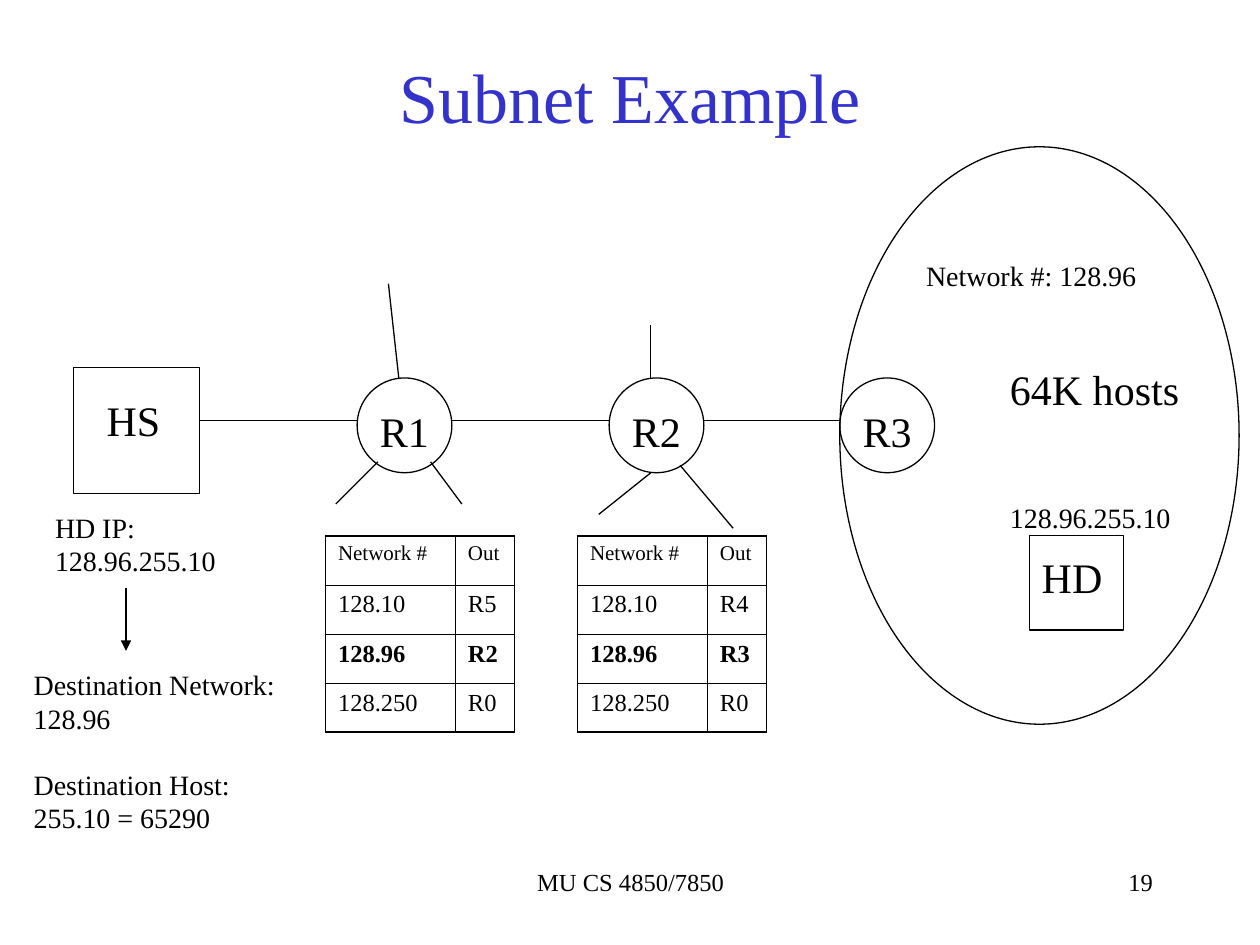
import pptx
import pptx.util
import pptx.dml.color
import pptx.enum.shapes
import pptx.enum.text
import pptx.oxml
import pptx.oxml.ns
from pptx.util import Cm, Pt

COLORS = {"ink": "000000", "title": "3333CC", "paper": "FFFFFF"}
FONT = "Times New Roman"
ALIGN = pptx.enum.text.PP_ALIGN
SHAPE = pptx.enum.shapes.MSO_SHAPE

TITLE = ("Subnet Example", 1.9, 0.68, 21.6, 2.51)
# text, left, top, width, height, alignment
FOOTERS = [
    ("MU CS 4850/7850", 8.69, 17.35, 8.05, 1.27, ALIGN.CENTER),
    ("19", 18.21, 17.35, 5.28, 1.27, ALIGN.RIGHT),
]
# paragraphs, left, top, width, height, size
LABELS = [
    (["HS"], 1.9, 7.82, 1.8, 1.27, 24),
    (["HD"], 20.75, 11, 1.9, 1.27, 24),
    (["HD IP:", "128.96.255.10"], 0.86, 10.16, 4, 1.63, 16),
    (["Network #: 128.96"], 18.42, 5.08, 5, 0.94, 16),
    (["128.96.255.10"], 20.11, 9.96, 4, 0.94, 16),
]
DESTINATION = (["Destination Network:", "128.96",
                "Destination Host:", "255.10 = 65290"],
               0.43, 13.34, 5.6, 3.66, 16)
HOSTS = (["64K hosts"], 20.11, 7.2, 4, 1.27, 24)

# left, top, width, height
HOST_HS = (1.48, 7.41, 2.54, 2.54)
HOST_HD = (20.75, 10.8, 1.9, 1.9)
NETWORK = (16.93, 2.96, 8.05, 11.64)
ROUTERS = {"R1": 7.2, "R2": 12.28, "R3": 16.93}
ROUTER_TOP, ROUTER_SIZE = 7.62, 1.91
WIRE_Y = 8.47
# x and y of both ends
SPOKES = [
    (7.83, 5.72, 8.04, 7.62),
    (7.62, 9.31, 6.77, 10.16),
    (8.68, 9.31, 9.31, 10.16),
    (13.12, 6.56, 13.12, 7.62),
    (13.12, 9.53, 12.07, 10.37),
    (13.71, 9.38, 14.78, 10.65),
]
ARROW = (2.54, 11.86, 2.54, 13.12)

NETWORKS = ["128.10", "128.96", "128.250"]
HEADER = ("Network #", "Out")
BOLD_ROW = 2
# left edge, outgoing router for each network
ROUTES = [(6.56, ["R5", "R2", "R0"]), (11.64, ["R4", "R3", "R0"])]
TABLE_TOP, COLUMN_WIDTHS, ROW_HEIGHT = 10.8, (2.62, 1.19), 0.99
OUTER, INNER = 1.08, 0.45


def rgb(name):
    return pptx.dml.color.RGBColor.from_string(COLORS[name])


def add_run(p, text, size, color="ink", bold=False):
    r = p.add_run()
    r.text = text
    r.font.name, r.font.size, r.font.bold = FONT, Pt(size), bold
    r.font.color.rgb = rgb(color)


def write_label(sp, lines, size):
    """Fill a non-wrapping box of fixed size with one paragraph per line."""
    tf = sp.text_frame
    tf.word_wrap = False
    tf.auto_size = pptx.enum.text.MSO_AUTO_SIZE.SHAPE_TO_FIT_TEXT
    tf.vertical_anchor = pptx.enum.text.MSO_ANCHOR.TOP
    for i, line in enumerate(lines):
        p = tf.paragraphs[0] if i == 0 else tf.add_paragraph()
        p.alignment = ALIGN.LEFT
        add_run(p, line, size)
    return tf


def add_label(s, lines, left, top, width, height, size):
    sp = s.shapes.add_textbox(Cm(left), Cm(top), Cm(width), Cm(height))
    return write_label(sp, lines, size)


def add_outline(s, kind, left, top, width, height, line="ink"):
    sp = s.shapes.add_shape(kind, Cm(left), Cm(top), Cm(width), Cm(height))
    sp.shadow.inherit = False
    sp.fill.background()
    sp.line.color.rgb = rgb(line)
    sp.line.width = Pt(0.75)
    return sp


def add_line(s, x1, y1, x2, y2):
    line = s.shapes.add_connector(pptx.enum.shapes.MSO_CONNECTOR.STRAIGHT,
                                  Cm(x1), Cm(y1), Cm(x2), Cm(y2))
    line.line.color.rgb = rgb("ink")
    line.line.width = Pt(0.75)
    line._element.spPr.append(pptx.oxml.parse_xml(
        f'<a:effectLst {pptx.oxml.ns.nsdecls("a")}/>'))
    return line


def set_borders(cell, widths):
    """Draw the left, right, top and bottom borders with the given widths."""
    tcPr = cell._tc.get_or_add_tcPr()
    for i, (side, width) in enumerate(zip("LRTB", widths)):
        tcPr.insert(i, pptx.oxml.parse_xml(
            f'<a:ln{side} {pptx.oxml.ns.nsdecls("a")} w="{int(Pt(width))}">'
            f'<a:solidFill><a:srgbClr val="{COLORS["ink"]}"/></a:solidFill>'
            f'</a:ln{side}>'))


def add_routing_table(s, left, outs):
    rows = [HEADER, *zip(NETWORKS, outs)]
    last_row, last_col = len(rows) - 1, len(HEADER) - 1
    table = s.shapes.add_table(
        len(rows), len(HEADER), Cm(left), Cm(TABLE_TOP),
        Cm(sum(COLUMN_WIDTHS)), Cm(ROW_HEIGHT * len(rows))).table
    table.first_row = table.horz_banding = False
    for column, width in zip(table.columns, COLUMN_WIDTHS):
        column.width = Cm(width)
    for i, row in enumerate(rows):
        table.rows[i].height = Cm(ROW_HEIGHT)
        for j, text in enumerate(row):
            cell = table.cell(i, j)
            cell.fill.background()
            edges = (j == 0, j == last_col, i == 0, i == last_row)
            set_borders(cell, [OUTER if edge else INNER for edge in edges])
            add_run(cell.text_frame.paragraphs[0], text,
                    12 if i == 0 else 14, bold=i == BOLD_ROW)


def main():
    prs = pptx.Presentation()
    prs.slide_width, prs.slide_height = Cm(25.4), Cm(19.05)
    s = prs.slides.add_slide(prs.slide_layouts[5])

    text, *box = TITLE
    title = s.shapes.title
    title.left, title.top, title.width, title.height = map(Cm, box)
    title.text_frame.vertical_anchor = pptx.enum.text.MSO_ANCHOR.MIDDLE
    p = title.text_frame.paragraphs[0]
    p.alignment = ALIGN.CENTER
    add_run(p, text, 40, "title")

    for text, *box, alignment in FOOTERS:
        tf = s.shapes.add_textbox(*map(Cm, box)).text_frame
        tf.word_wrap = True
        tf.paragraphs[0].alignment = alignment
        add_run(tf.paragraphs[0], text, 14)

    add_outline(s, SHAPE.OVAL, *NETWORK)
    for host in (HOST_HS, HOST_HD):
        add_outline(s, SHAPE.RECTANGLE, *host)

    wire_start = HOST_HS[0] + HOST_HS[2]
    for name, left in ROUTERS.items():
        add_line(s, wire_start, WIRE_Y, left, WIRE_Y)
        add_outline(s, SHAPE.OVAL, left, ROUTER_TOP, ROUTER_SIZE, ROUTER_SIZE)
        add_label(s, [name], left + 0.21, ROUTER_TOP + 0.43, 1.6, 1.27, 24)
        wire_start = left + ROUTER_SIZE

    for spoke in SPOKES:
        add_line(s, *spoke)
    arrow = add_line(s, *ARROW)
    arrow.line._get_or_add_ln().append(pptx.oxml.parse_xml(
        f'<a:tailEnd {pptx.oxml.ns.nsdecls("a")} type="triangle"/>'))

    for left, outs in ROUTES:
        add_routing_table(s, left, outs)

    for label in LABELS:
        add_label(s, *label)
    add_label(s, *DESTINATION).paragraphs[2].space_before = Pt(18.4)

    lines, *box, size = HOSTS
    hosts = add_outline(s, SHAPE.RECTANGLE, *box, line="paper")
    hosts.fill.solid()
    hosts.fill.fore_color.rgb = rgb("paper")
    write_label(hosts, lines, size)

    prs.save("out.pptx")


if __name__ == "__main__":
    main()
